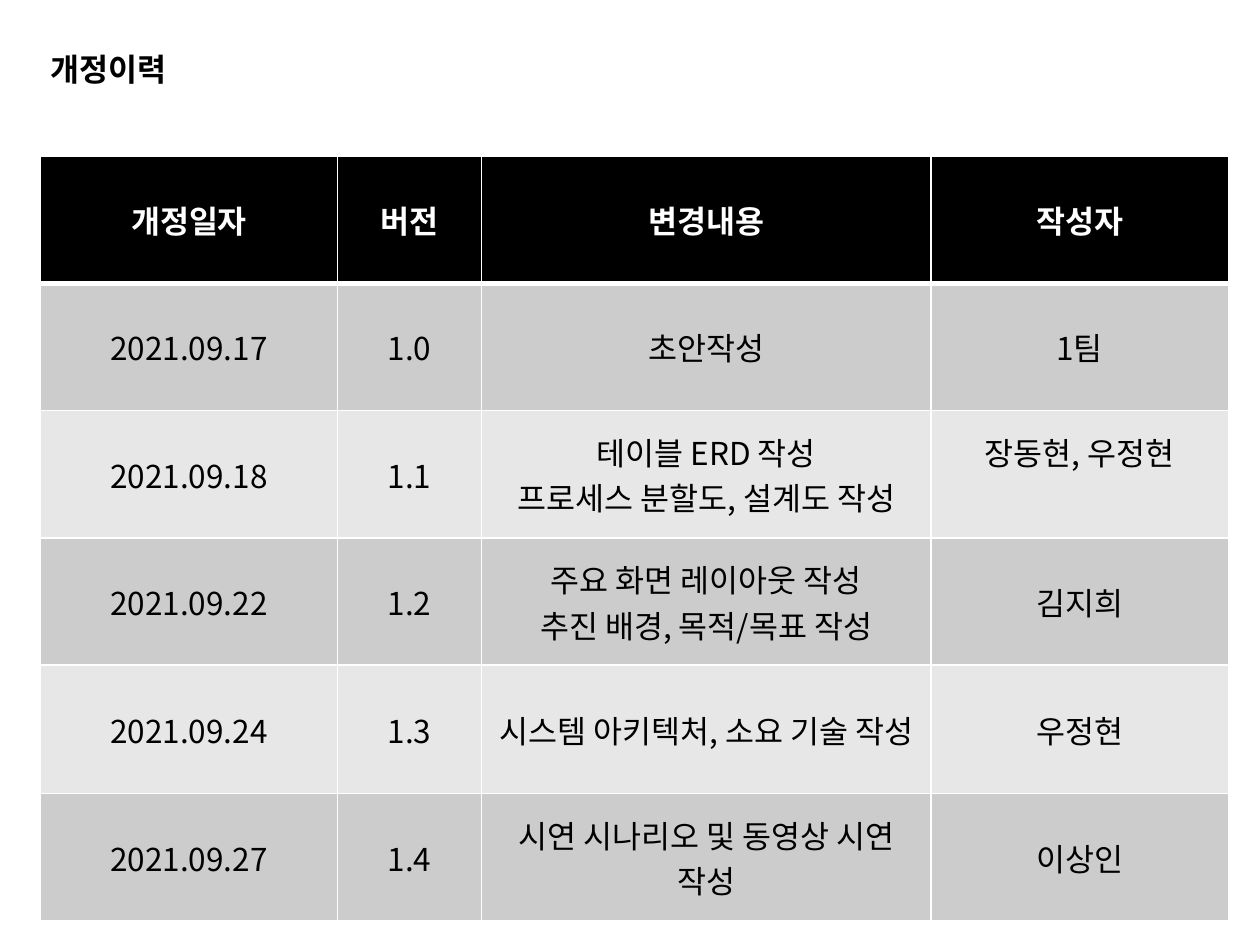
from dataclasses import dataclass

from lxml import etree
from pptx import Presentation
from pptx.dml.color import RGBColor
from pptx.enum import text as t
from pptx.oxml.ns import qn
from pptx.util import Inches, Pt


@dataclass(frozen=True)
class Theme:
    black: str = "000000"
    white: str = "FFFFFF"
    dark: str = "CCCCCC"
    light: str = "E7E7E7"
    size: int = 18
    thin: int = 1
    thick: int = 3
    latin: str = "Arial"
    asian: str = "Noto Sans CJK KR"


@dataclass(frozen=True)
class Entry:
    date: str
    version: str
    change: str
    author: str
    drop: float = 0.05  # bottom margin of the author cell

    def texts(self) -> tuple[str, ...]:
        return self.date, self.version, self.change, self.author


THEME = Theme()
COLS = (2.36, 1.14, 3.57, 2.36)
ROWS = (1.01, 1.01, 1.01, 1.01, 1.02, 1.01)
HEAD = Entry("개정일자", "버전", "변경내용", "작성자")
LOG = (
    Entry("2021.09.17", "1.0", "초안작성", "1팀"),
    Entry("2021.09.18", "1.1", "테이블 ERD 작성\n프로세스 분할도, 설계도 작성",
          "장동현, 우정현", drop=0.41),
    Entry("2021.09.22", "1.2", "주요 화면 레이아웃 작성\n추진 배경, 목적/목표 작성", "김지희"),
    Entry("2021.09.24", "1.3", "시스템 아키텍처, 소요 기술 작성", "우정현"),
    Entry("2021.09.27", "1.4", "시연 시나리오 및 동영상 시연 작성", "이상인"),
)


def write(frame, words: str, *, color: str = THEME.black, bold: bool = False,
          font: str = THEME.asian, align=t.PP_ALIGN.CENTER, lines: float = 1.0) -> None:
    frame.text = words
    for para in frame.paragraphs:
        para.alignment = align
        para.line_spacing = lines
        para.space_before = Pt(0)
        for run in para.runs:
            run.font.size = Pt(THEME.size)
            run.font.bold = bold
            run.font.color.rgb = RGBColor.from_string(color)
            run.font.name = font
            asian = etree.SubElement(run.font._element, qn("a:ea"))
            asian.set("typeface", THEME.asian)


def edge(cell, top: int, bottom: int) -> None:
    """Draw white borders; top and bottom widths are in points."""
    props = cell._tc.get_or_add_tcPr()
    widths = {"lnL": THEME.thin, "lnR": THEME.thin, "lnT": top, "lnB": bottom}
    for side, width in widths.items():
        line = etree.SubElement(props, qn(f"a:{side}"), w=str(Pt(width)))
        fill = etree.SubElement(line, qn("a:solidFill"))
        etree.SubElement(fill, qn("a:srgbClr"), val=THEME.white)


def add_title(slide) -> None:
    title = slide.shapes.title
    title.left, title.top = Inches(0.4), Inches(0.18)
    title.width, title.height = Inches(2.43), Inches(0.68)
    frame = title.text_frame
    frame.margin_left = frame.margin_right = 0
    frame.margin_top = frame.margin_bottom = 0
    frame.vertical_anchor = t.MSO_ANCHOR.MIDDLE
    frame.word_wrap = True
    frame.auto_size = t.MSO_AUTO_SIZE.NONE
    write(frame, "개정이력", bold=True, font=THEME.latin,
          align=t.PP_ALIGN.JUSTIFY, lines=1.2)


def add_log(slide) -> None:
    table = slide.shapes.add_table(
        len(ROWS), len(COLS), Inches(0.32), Inches(1.24),
        Inches(sum(COLS)), Inches(sum(ROWS))).table
    for col, width in zip(table.columns, COLS):
        col.width = Inches(width)
    for row, height in zip(table.rows, ROWS):
        row.height = Inches(height)
    for i, entry in enumerate((HEAD, *LOG)):
        head = i == 0
        back = THEME.black if head else (THEME.light, THEME.dark)[i % 2]
        for j, words in enumerate(entry.texts()):
            cell = table.cell(i, j)
            edge(cell, THEME.thick if i == 1 else THEME.thin,
                 THEME.thick if head else THEME.thin)
            cell.fill.solid()
            cell.fill.fore_color.rgb = RGBColor.from_string(back)
            cell.vertical_anchor = t.MSO_ANCHOR.MIDDLE
            write(cell.text_frame, words, bold=head,
                  color=THEME.white if head else THEME.black)
        table.cell(i, len(COLS) - 1).margin_bottom = Inches(entry.drop)


def main() -> None:
    deck = Presentation()
    deck.slide_width, deck.slide_height = Inches(10), Inches(7.5)
    slide = deck.slides.add_slide(deck.slide_layouts[5])
    add_log(slide)
    add_title(slide)
    deck.save("out.pptx")


if __name__ == "__main__":
    main()
